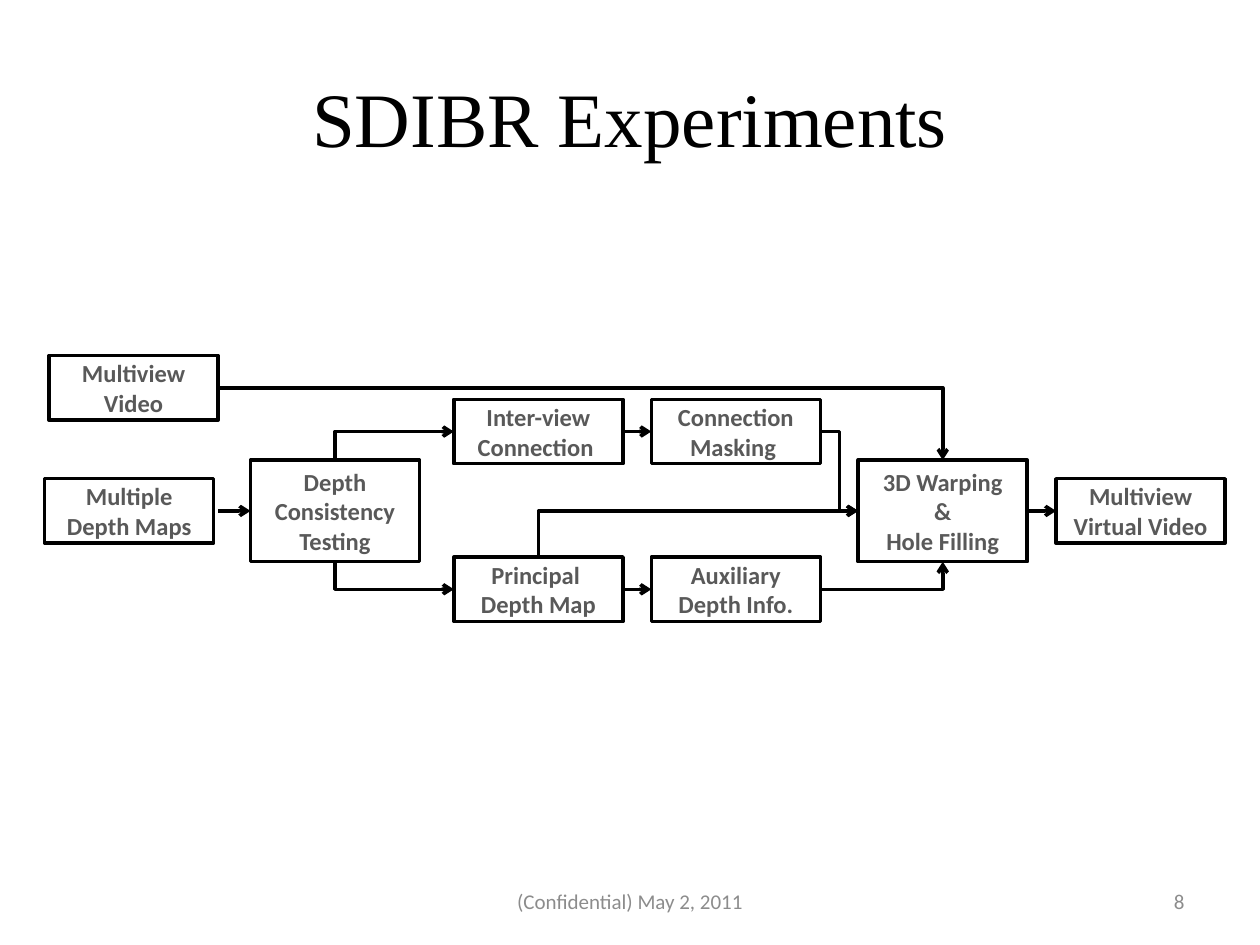
import pptx
import pptx.util
import pptx.dml.color
import pptx.enum.shapes
import pptx.enum.text
import pptx.oxml
import pptx.oxml.ns
import lxml.etree

Cm = pptx.util.Cm
ALIGN = pptx.enum.text.PP_ALIGN
KIND = pptx.enum.shapes.MSO_CONNECTOR


def color(value):
    return pptx.dml.color.RGBColor.from_string(value)


def write(shape, text, size, font, ink, align=ALIGN.CENTER, bold=False):
    frame = shape.text_frame
    frame.word_wrap = True
    frame.vertical_anchor = pptx.enum.text.MSO_ANCHOR.MIDDLE
    frame.text = text
    for paragraph in frame.paragraphs:
        paragraph.alignment = align
        paragraph.font.size = pptx.util.Pt(size)
        paragraph.font.name = font
        paragraph.font.bold = bold
        paragraph.font.color.rgb = color(ink)


deck = pptx.Presentation()
deck.slide_width = Cm(25.4)
deck.slide_height = Cm(19.05)
slide = deck.slides.add_slide(deck.slide_layouts[6])

captions = [
    ("SDIBR Experiments", 1.27, 0.76, 22.86, 3.18, 44, "Times New Roman", "000000", ALIGN.CENTER),
    ("(Confidential) May 2, 2011", 8.68, 17.66, 8.04, 1.01, 12, "Calibri", "8C8C8C", ALIGN.CENTER),
    ("8", 18.2, 17.66, 5.93, 1.01, 12, "Calibri", "8C8C8C", ALIGN.RIGHT),
]
for text, left, top, width, height, size, font, ink, align in captions:
    caption = slide.shapes.add_textbox(Cm(left), Cm(top), Cm(width), Cm(height))
    write(caption, text, size, font, ink, align)

step_width, low, tall = 3.41, 1.3, 2.05
video_y, upper_y, middle_y, lower_y = 7.82, 8.7, 10.3, 11.88
maps_x, video_x, testing_x, first_x, second_x, warping_x, output_x = (
    0.9, 0.99, 5.05, 9.15, 13.13, 17.3, 21.29)

steps = [
    ("Depth Consistency Testing", testing_x, middle_y, tall),
    ("Auxiliary Depth Info.", second_x, lower_y, low),
    ("Principal \nDepth Map", first_x, lower_y, low),
    ("Inter-view Connection ", first_x, upper_y, low),
    ("Multiview Video", video_x, video_y, low),
    ("Connection Masking ", second_x, upper_y, low),
    ("3D Warping\n&\nHole Filling", warping_x, middle_y, tall),
    ("Multiple Depth Maps", maps_x, middle_y, low),
    ("Multiview Virtual Video", output_x, middle_y, low),
]
for text, left, center_y, height in steps:
    step = slide.shapes.add_shape(
        pptx.enum.shapes.MSO_SHAPE.RECTANGLE,
        Cm(left), Cm(center_y - height / 2), Cm(step_width), Cm(height))
    step.shadow.inherit = False
    step.fill.solid()
    step.fill.fore_color.rgb = color("FFFFFF")
    step.line.color.rgb = color("000000")
    step.line.width = pptx.util.Pt(2)
    write(step, text, 14, "Calibri", "595959", bold=True)

half = step_width / 2
testing_mid, principal_mid, warping_mid = testing_x + half, first_x + half, warping_x + half
middle_top, middle_bottom = middle_y - tall / 2, middle_y + tall / 2
first_end, second_end = first_x + step_width, second_x + step_width

flows = [
    ("line", "tailEnd", first_end, upper_y, second_x, upper_y),
    ("line", "tailEnd", first_end, lower_y, second_x, lower_y),
    ("line", "tailEnd", video_x + step_width, middle_y, testing_x, middle_y),
    ("line", "tailEnd", warping_x + step_width, middle_y, output_x, middle_y),
    ("bentConnector2", "headEnd", first_x, lower_y, testing_mid, middle_bottom),
    ("bentConnector2", "headEnd", first_x, upper_y, testing_mid, middle_top),
    ("bentConnector2", "tailEnd", video_x + step_width, video_y, warping_mid, middle_top),
    ("bentConnector2", "tailEnd", second_end, lower_y, warping_mid, middle_bottom),
    ("bentConnector3", "tailEnd", second_end, upper_y, warping_x, middle_y),
    ("bentConnector2", "headEnd", warping_x, middle_y, principal_mid, lower_y - low / 2),
]
qn = pptx.oxml.ns.qn
for route, arrow_end, x1, y1, x2, y2 in flows:
    kind = KIND.STRAIGHT if route == "line" else KIND.ELBOW
    flow = slide.shapes.add_connector(kind, Cm(x1), Cm(y1), Cm(x2), Cm(y2))
    flow.line.color.rgb = color("000000")
    flow.line.width = pptx.util.Pt(2)
    properties = flow._element.spPr
    properties.find(qn("a:prstGeom")).set("prst", route)
    lxml.etree.SubElement(properties.find(qn("a:ln")), qn("a:" + arrow_end), type="arrow")
    lxml.etree.SubElement(properties, qn("a:effectLst"))

deck.save("out.pptx")
